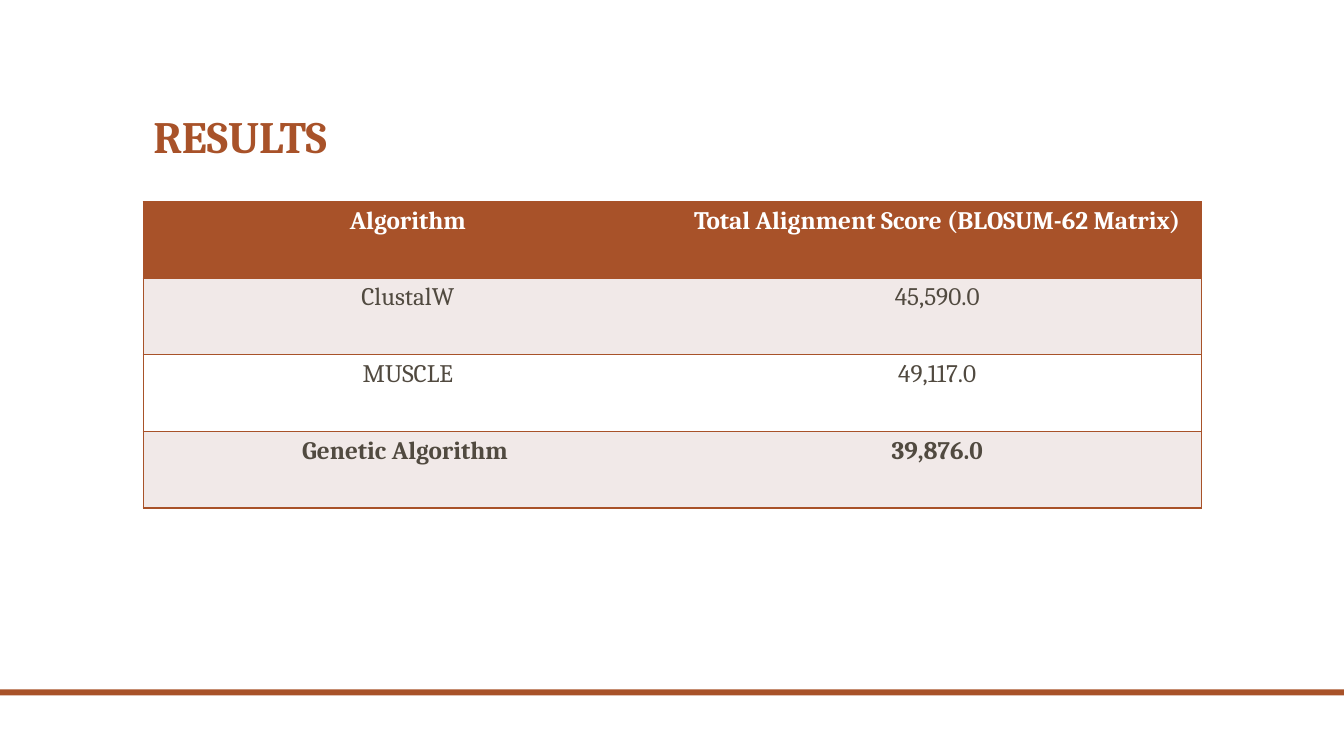
"""Build the results slide with its alignment score table."""
from lxml import etree
from pptx import Presentation
from pptx.dml.color import RGBColor
from pptx.enum import shapes, text
from pptx.oxml import ns
from pptx.util import Inches, Pt

TITLE = "RESULTS"
ROWS = [
    ("Algorithm", "Total Alignment Score (BLOSUM-62 Matrix)"),
    ("ClustalW", "45,590.0"),
    ("MUSCLE", "49,117.0"),
    ("Genetic Algorithm ", "39,876.0"),
]
FONT = "Cambria"
RUST = RGBColor(0xA8, 0x52, 0x29)
BROWN = RGBColor(0x51, 0x4A, 0x40)
BLUSH = RGBColor(0xF1, 0xE9, 0xE8)
WHITE = RGBColor(0xFF, 0xFF, 0xFF)
LEFT, WIDTH = Inches(1.42), Inches(10.5)
ROW_HEIGHT = Inches(0.76)


def write_text(frame, content, size, color, bold=False, align=text.PP_ALIGN.LEFT, spacing=1.0):
    paragraph = frame.paragraphs[0]
    paragraph.alignment = align
    paragraph.line_spacing = spacing
    run = paragraph.add_run()
    run.text = content
    run.font.name = FONT
    run.font.size = Pt(size)
    run.font.bold = bold
    run.font.color.rgb = color


def add_borders(cell, sides, color):
    properties = cell._tc.get_or_add_tcPr()
    for position, side in enumerate(("L", "R", "T", "B")):
        line = etree.Element(ns.qn(f"a:ln{side}"), w=str(Pt(1)))
        if side in sides:
            fill = etree.SubElement(line, ns.qn("a:solidFill"))
            etree.SubElement(fill, ns.qn("a:srgbClr"), val=str(color))
        else:
            etree.SubElement(line, ns.qn("a:noFill"))
        properties.insert(position, line)


def add_score_table(slide):
    frame = slide.shapes.add_table(
        len(ROWS), len(ROWS[0]), LEFT, Inches(2), WIDTH, ROW_HEIGHT * len(ROWS))
    table = frame.table
    for row_index, row in enumerate(ROWS):
        table.rows[row_index].height = ROW_HEIGHT
        header = row_index == 0
        banded = row_index % 2 == 1
        for column_index, content in enumerate(row):
            cell = table.cell(row_index, column_index)
            cell.fill.solid()
            cell.fill.fore_color.rgb = RUST if header else BLUSH if banded else WHITE
            add_borders(cell, "LTB" if column_index == 0 else "RTB", RUST)
            write_text(cell.text_frame, content, size=18,
                       color=WHITE if header else BROWN,
                       bold=row_index in (0, len(ROWS) - 1),
                       align=text.PP_ALIGN.CENTER)


def main():
    presentation = Presentation()
    presentation.slide_width = Inches(13.33)
    presentation.slide_height = Inches(7.5)
    slide = presentation.slides.add_slide(presentation.slide_layouts[5])
    slide.background.fill.solid()
    slide.background.fill.fore_color.rgb = WHITE

    title = slide.shapes.title
    title.left, title.top = LEFT, Inches(0.42)
    title.width, title.height = WIDTH, Inches(1.25)
    title.text_frame.vertical_anchor = text.MSO_ANCHOR.BOTTOM
    write_text(title.text_frame, TITLE, size=32, color=RUST, bold=True, spacing=0.9)

    footer_bar = slide.shapes.add_shape(
        shapes.MSO_SHAPE.RECTANGLE, 0, Inches(6.84), presentation.slide_width, Inches(0.06))
    footer_bar.shadow.inherit = False
    footer_bar.fill.solid()
    footer_bar.fill.fore_color.rgb = RUST
    footer_bar.line.fill.background()

    add_score_table(slide)
    presentation.save("out.pptx")


if __name__ == "__main__":
    main()
